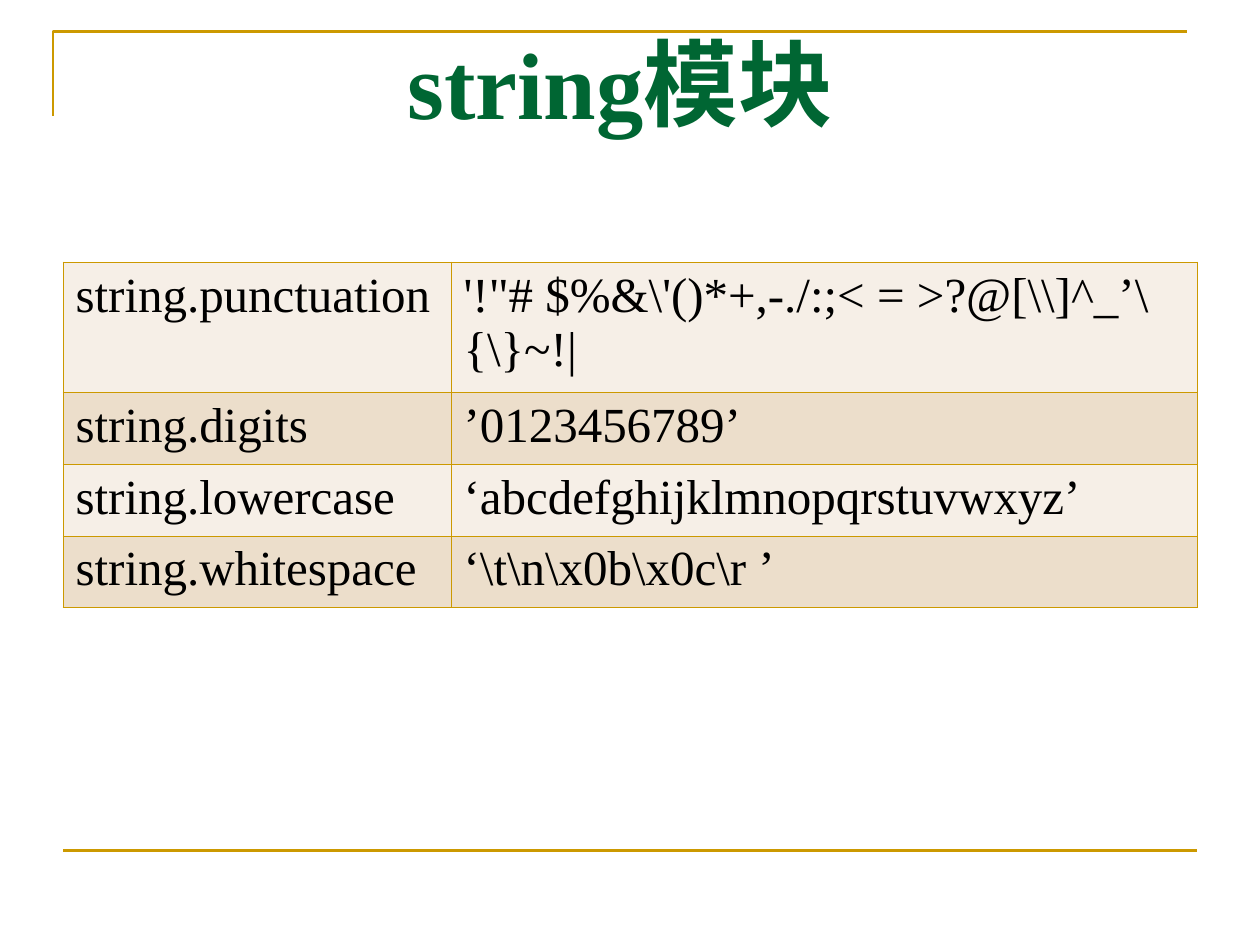
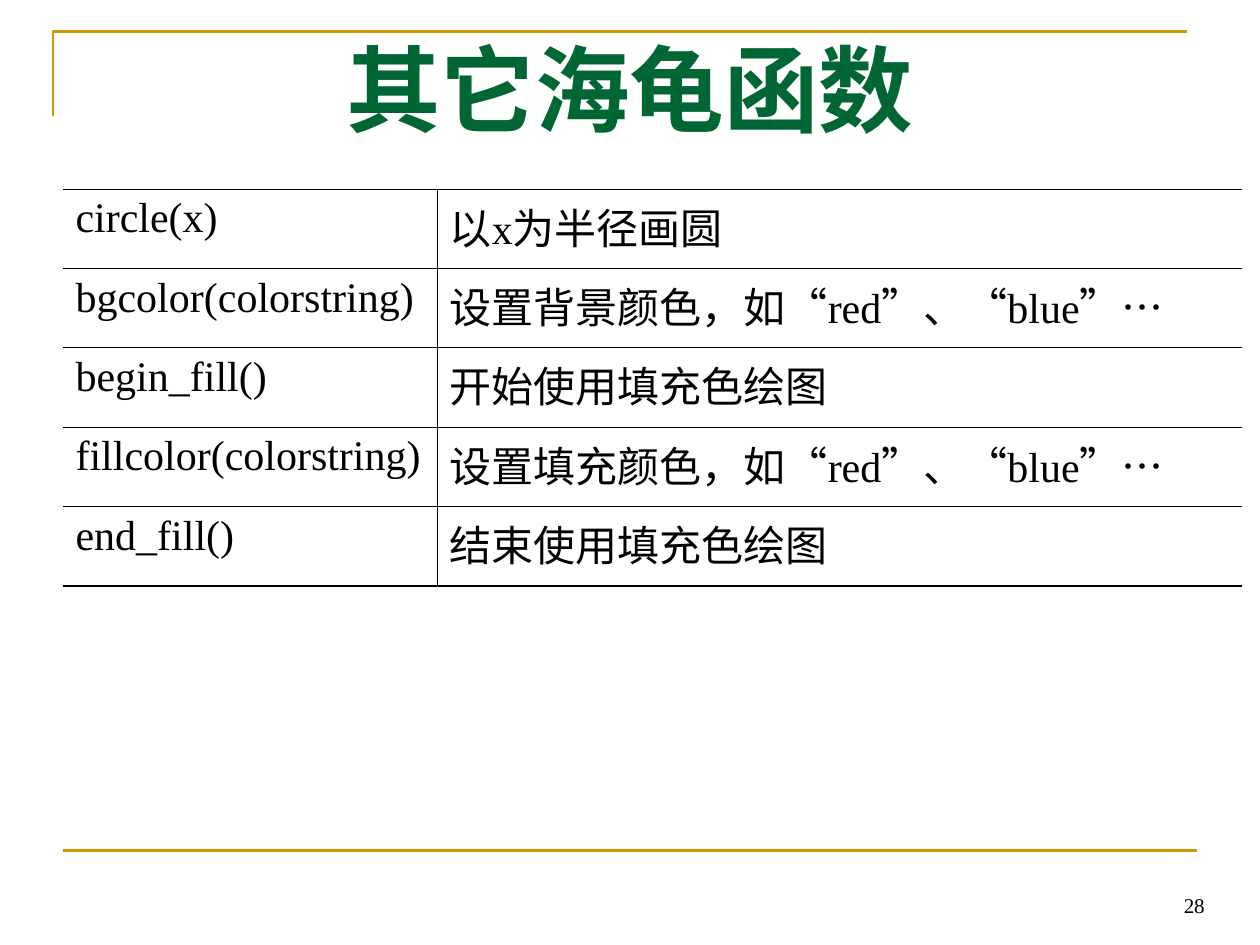
"""Builds two slides on the string module and turtle functions."""
from dataclasses import dataclass

from lxml.etree import SubElement
from pptx import Presentation
from pptx.dml.color import RGBColor
from pptx.enum.shapes import MSO_CONNECTOR
from pptx.enum.text import MSO_ANCHOR, PP_ALIGN
from pptx.oxml.ns import qn
from pptx.util import Inches, Pt


@dataclass(frozen=True)
class Theme:
    """Colours, font and sizes shared by the slides."""
    font: str = "Times New Roman"
    gold: str = "CC9900"
    green: str = "006633"
    black: str = "000000"
    light_band: str = "F6EFE7"
    dark_band: str = "ECDECB"
    title_size: int = 54
    constant_size: int = 28
    function_size: int = 24
    number_size: int = 12
    frame_width: float = 1.5
    rule_width: float = 0.45
    bottom_rule_width: float = 1.08


THEME = Theme()

STRING_CONSTANTS = [
    ("string.punctuation", "'!\"# $%&\\'()*+,-./:;< = >?@[\\\\]^_’\\{\\}~!|"),
    ("string.digits", "’0123456789’"),
    ("string.lowercase", "‘abcdefghijklmnopqrstuvwxyz’"),
    ("string.whitespace", "‘\\t\\n\\x0b\\x0c\\r ’"),
]

TURTLE_FUNCTIONS = [
    ("circle(x)", "以x为半径画圆"),
    ("bgcolor(colorstring)", "设置背景颜色，如“red”、“blue”…"),
    ("begin_fill()", "开始使用填充色绘图"),
    ("fillcolor(colorstring)", "设置填充颜色，如“red”、“blue”…"),
    ("end_fill()", "结束使用填充色绘图"),
]


def write_text(frame, text, size, color=THEME.black, bold=False,
               align=PP_ALIGN.LEFT, spacing=None):
    """Write one formatted paragraph into a text frame."""
    para = frame.paragraphs[0]
    para.alignment = align
    para.line_spacing = spacing
    span = para.add_run()
    span.text = text
    span.font.name = THEME.font
    span.font.size = Pt(size)
    span.font.bold = bold
    span.font.color.rgb = RGBColor.from_string(color)


def add_text(page, text, left, top, width, height, anchor=MSO_ANCHOR.TOP, **style):
    """Add a wrapping text box."""
    box = page.shapes.add_textbox(Inches(left), Inches(top), Inches(width), Inches(height))
    box.text_frame.word_wrap = True
    box.text_frame.vertical_anchor = anchor
    write_text(box.text_frame, text, **style)


def style_frame_line(shape):
    """Give a frame line its gold stroke."""
    shape.line.color.rgb = RGBColor.from_string(THEME.gold)
    shape.line.width = Pt(THEME.frame_width)


def add_frame(page):
    """Draw the corner at the top and the rule at the bottom."""
    builder = page.shapes.build_freeform(Inches(0.42), Inches(0.92))
    builder.add_line_segments(
        [(Inches(0.42), Inches(0.25)), (Inches(9.42), Inches(0.25))], close=False)
    corner = builder.convert_to_shape()
    corner.fill.background()
    corner.shadow.inherit = False
    style_frame_line(corner)

    rule = page.shapes.add_connector(
        MSO_CONNECTOR.STRAIGHT, Inches(0.5), Inches(6.75), Inches(9.5), Inches(6.75))
    SubElement(rule._element.spPr, qn("a:effectLst"))
    style_frame_line(rule)


def add_page(deck, title, left, top):
    """Add a framed page with its title."""
    page = deck.slides.add_slide(deck.slide_layouts[6])
    add_frame(page)
    add_text(page, title, left, top, 9, 1.25, size=THEME.title_size, color=THEME.green,
             bold=True, align=PP_ALIGN.CENTER, spacing=0.9)
    return page


def set_borders(cell, color, widths):
    """Draw the cell sides named in widths and hide the others."""
    properties = cell._tc.get_or_add_tcPr()
    for side in "LRTB":
        line = SubElement(properties, qn(f"a:ln{side}"))
        if side in widths:
            line.set("w", str(Pt(widths[side])))
            fill = SubElement(line, qn("a:solidFill"))
            SubElement(fill, qn("a:srgbClr")).set("val", color)
        else:
            SubElement(line, qn("a:noFill"))


def add_grid(page, rows, top, column_widths, row_heights, size, border, bands=(),
             outer_sides=True, bottom_width=THEME.rule_width):
    """Add a two-column table with optional bands and side borders."""
    grid = page.shapes.add_table(
        len(rows), len(column_widths), Inches(0.5), Inches(top),
        Inches(sum(column_widths)), Inches(sum(row_heights))).table
    grid.first_row = grid.horz_banding = False
    for column, width in zip(grid.columns, column_widths):
        column.width = Inches(width)
    for row, height in zip(grid.rows, row_heights):
        row.height = Inches(height)
    for row_index, texts in enumerate(rows):
        for column_index, text in enumerate(texts):
            cell = grid.cell(row_index, column_index)
            widths = dict.fromkeys("LRTB", THEME.rule_width)
            if row_index == len(rows) - 1:
                widths["B"] = bottom_width
            if not outer_sides:
                del widths["L" if column_index == 0 else "R"]
            set_borders(cell, border, widths)
            if bands:
                cell.fill.solid()
                cell.fill.fore_color.rgb = RGBColor.from_string(bands[row_index % len(bands)])
            else:
                cell.fill.background()
            write_text(cell.text_frame, text, size)


def main():
    """Build and save the deck."""
    deck = Presentation()
    deck.slide_width, deck.slide_height = Inches(10), Inches(7.5)

    page = add_page(deck, "string模块", 0.42, 0.25)
    add_grid(page, STRING_CONSTANTS, 2.08, (3.08, 5.92), [1.03] + [0.57] * 3,
             THEME.constant_size, THEME.gold, bands=(THEME.light_band, THEME.dark_band))

    page = add_page(deck, "其它海龟函数", 0.5, 0.3)
    add_grid(page, TURTLE_FUNCTIONS, 1.5, (2.97, 6.39), [0.63] * len(TURTLE_FUNCTIONS),
             THEME.function_size, THEME.black, outer_sides=False,
             bottom_width=THEME.bottom_rule_width)
    add_text(page, "28", 7.33, 6.83, 2.33, 0.5, anchor=MSO_ANCHOR.BOTTOM,
             size=THEME.number_size, align=PP_ALIGN.RIGHT)

    deck.save("out.pptx")


if __name__ == "__main__":
    main()
